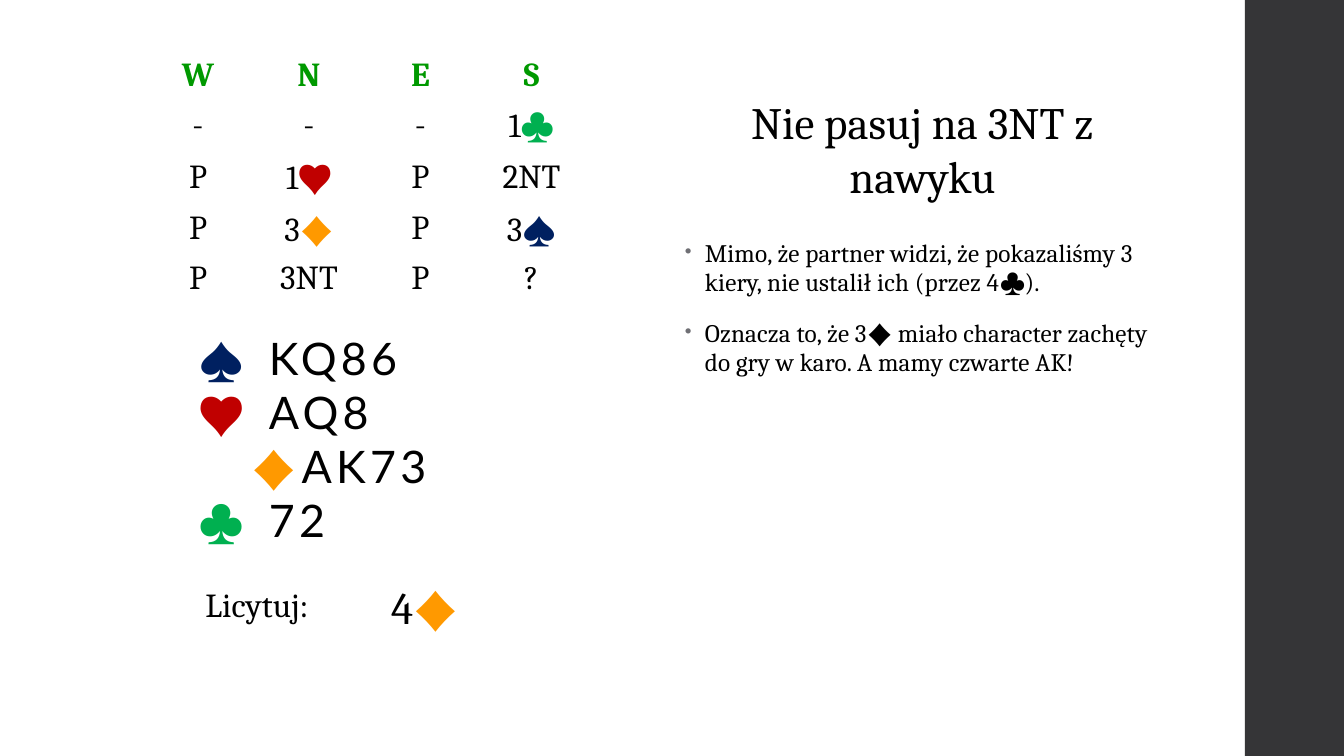
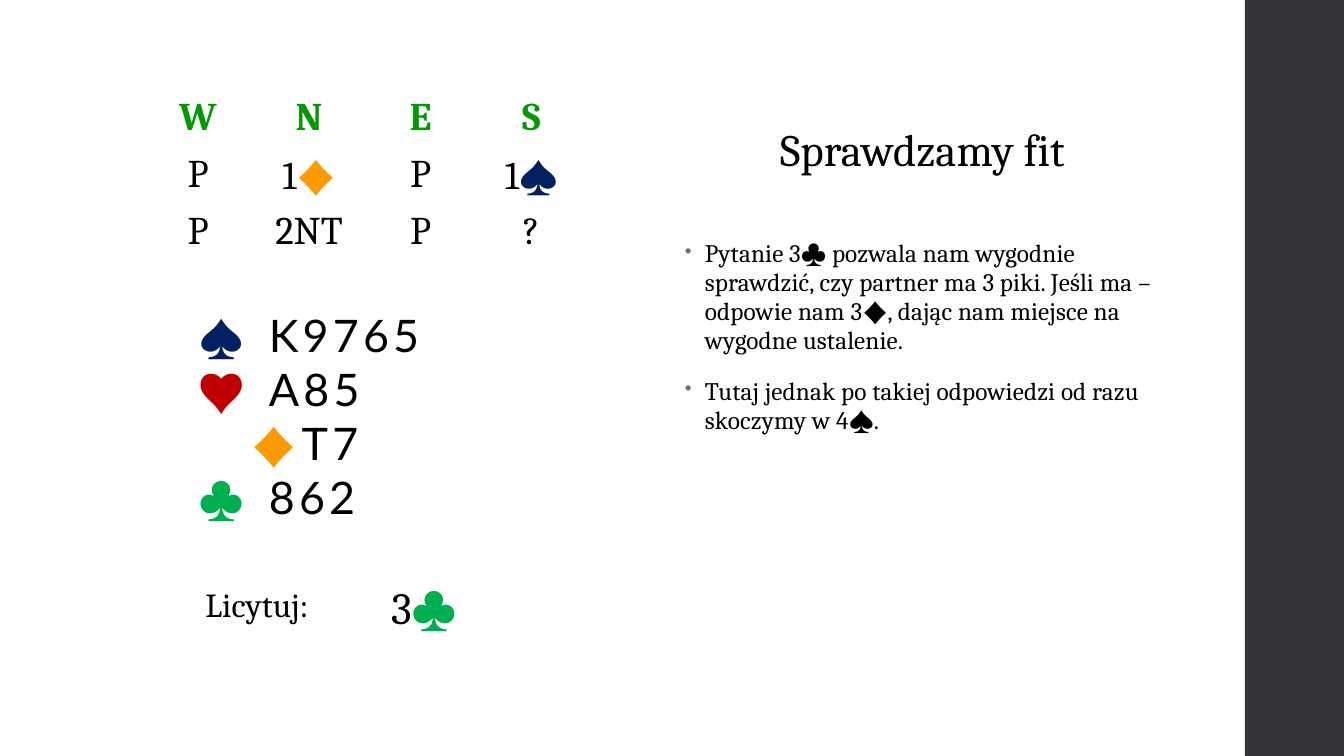
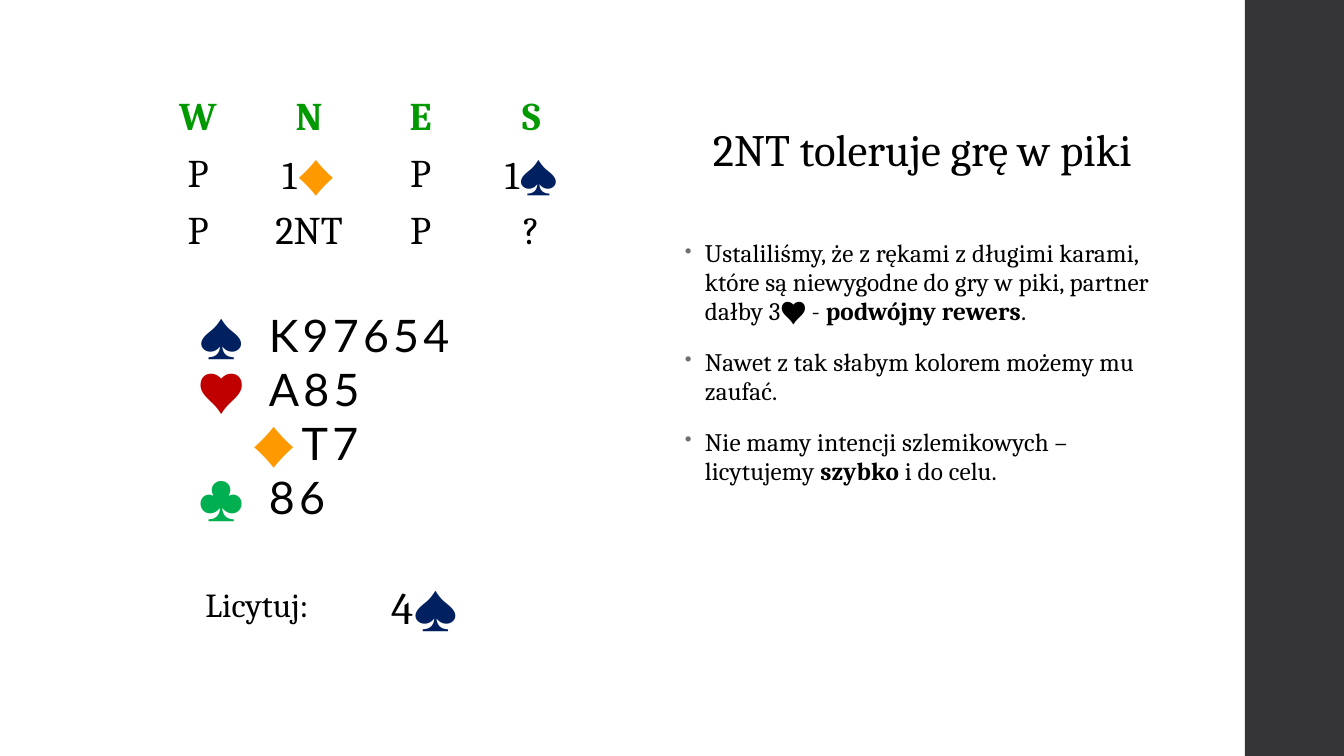
from itertools import groupby

from lxml import etree
from pptx import Presentation
from pptx.dml.color import RGBColor
from pptx.enum.shapes import MSO_SHAPE
from pptx.enum.text import MSO_ANCHOR, PP_ALIGN
from pptx.oxml.ns import qn
from pptx.util import Pt

RECT = MSO_SHAPE.RECTANGLE
MIDDLE = MSO_ANCHOR.MIDDLE
LEFT, CENTER = PP_ALIGN.LEFT, PP_ALIGN.CENTER

BLACK = RGBColor(0x00, 0x00, 0x00)
GREEN = RGBColor(0x00, 0x99, 0x00)
DARK = RGBColor(0x35, 0x35, 0x37)
SUITS = {
    "♠": RGBColor(0x00, 0x20, 0x60),
    "♥": RGBColor(0xC0, 0x00, 0x00),
    "♦": RGBColor(0xFF, 0x99, 0x00),
    "♣": RGBColor(0x00, 0xB0, 0x50),
}
BULLET = "6F6F74"
SERIF, SANS = "Cambria", "Lato"

SEATS = ["W", "N", "E", "S"]
FIT_BIDS = [["P", "1♦", "P", "1♠"], ["P", "2NT", "P", "?"]]

# Asterisks in the notes enclose bold words.
SLIDES = [
    dict(
        title="Nie pasuj na 3NT z nawyku",
        bids=[
            ["-", "-", "-", "1♣"],
            ["P", "1♥", "P", "2NT"],
            ["P", "3♦", "P", "3♠"],
            ["P", "3NT", "P", "?"],
        ],
        top=51, size=24, hand_top=326,
        hand=["KQ86", "AQ8", "AK73", "72"],
        answer="4♦",
        notes=[
            "Mimo, że partner widzi, że pokazaliśmy 3 kiery, nie ustalił ich (przez 4♣).",
            "Oznacza to, że 3♦ miało character zachęty do gry w karo. A mamy czwarte AK!",
        ],
    ),
    dict(
        title="Sprawdzamy fit",
        bids=FIT_BIDS,
        top=89, size=28, hand_top=303,
        hand=["K9765", "A85", "T7", "862"],
        answer="3♣",
        notes=[
            "Pytanie 3♣ pozwala nam wygodnie sprawdzić, czy partner ma 3 piki. "
            "Jeśli ma – odpowie nam 3♦, dając nam miejsce na wygodne ustalenie.",
            "Tutaj jednak po takiej odpowiedzi od razu skoczymy w 4♠.",
        ],
    ),
    dict(
        title="2NT toleruje grę w piki",
        bids=FIT_BIDS,
        top=89, size=28, hand_top=303,
        hand=["K97654", "A85", "T7", "86"],
        answer="4♠",
        notes=[
            "Ustaliliśmy, że z rękami z długimi karami, które są niewygodne do gry "
            "w piki, partner dałby 3♥ - *podwójny rewers*.",
            "Nawet z tak słabym kolorem możemy mu zaufać.",
            "Nie mamy intencji szlemikowych – licytujemy *szybko* i do celu.",
        ],
    ),
]

SCALE = 914400 / 100.8
WIDTH, HEIGHT = 1344, 756
ROW = 41


def px(n):
    return round(n * SCALE)


def box(slide, *place):
    frame = slide.shapes.add_textbox(*map(px, place)).text_frame
    frame.word_wrap = True
    return frame


def paras(frame, items):
    """Yield a paragraph of the frame for each item."""
    for i, item in enumerate(items):
        yield (frame.add_paragraph() if i else frame.paragraphs[0]), item


def style(par, size, name=SERIF, color=BLACK, bold=False):
    font = par.font
    font.size, font.name, font.bold = Pt(size), name, bold
    font.color.rgb = color


def add_run(par, text, space=0):
    run = par.add_run()
    run.text = text
    if space:
        run._r.get_or_add_rPr().set("spc", str(space))
    return run


def add_bid(par, text):
    """Write a bid, with its suit sign in the colour of the suit."""
    for suit, chars in groupby(text, SUITS.get):
        run = add_run(par, "".join(chars), 300 if suit else 0)
        if suit:
            run.font.name = SANS
            run.font.color.rgb = suit


def add_grid(slide, left, top, widths, rows):
    """Add a plain table; each cell is (text, size, colour, bold, alignment)."""
    table = slide.shapes.add_table(
        len(rows), len(widths), px(left), px(top),
        px(sum(widths)), px(ROW * len(rows))).table
    table.first_row = table.horz_banding = False
    for col, width in zip(table.columns, widths):
        col.width = px(width)
    for r, row in enumerate(rows):
        for c, (text, size, color, bold, align) in enumerate(row):
            cell = table.cell(r, c)
            cell.fill.background()
            cell.vertical_anchor = MIDDLE
            par = cell.text_frame.paragraphs[0]
            par.alignment = align
            style(par, size, color=color, bold=bold)
            add_bid(par, text)


def add_band(slide):
    band = slide.shapes.add_shape(RECT, px(1245), 0, px(WIDTH - 1245), px(HEIGHT))
    band.shadow.inherit = False
    band.fill.solid()
    band.fill.fore_color.rgb = DARK
    band.line.fill.background()


def add_title(slide, text):
    frame = box(slide, 675, 89, 495, 119)
    frame.vertical_anchor = MIDDLE
    par = frame.paragraphs[0]
    par.alignment = CENTER
    style(par, 32)
    add_run(par, text)


def add_notes(slide, notes):
    frame = box(slide, 675, 235, 494, 455)
    for par, note in paras(frame, notes):
        par.line_spacing = 0.95
        par.space_before = Pt(0 if note is notes[0] else 14)
        par.space_after = Pt(2)
        props = par._p.get_or_add_pPr()
        props.set("marL", str(px(20)))
        props.set("indent", str(-px(20)))
        color = etree.SubElement(props, qn("a:buClr"))
        etree.SubElement(color, qn("a:srgbClr"), val=BULLET)
        etree.SubElement(props, qn("a:buSzPct"), val="80000")
        etree.SubElement(props, qn("a:buChar"), char="•")
        style(par, 18)
        for i, part in enumerate(note.split("*")):
            run = add_run(par, part, 10)
            if i % 2:
                run.font.bold = True


def add_hand(slide, top, hand):
    frame = box(slide, 188, top, 352, 228)
    for par, (suit, cards) in paras(frame, zip(SUITS, hand)):
        props = par._p.get_or_add_pPr()
        if suit == "♦":
            props.set("marL", str(px(3)))
            props.set("indent", "0")
        tabs = etree.SubElement(props, qn("a:tabLst"))
        for pos, align in ((50, "r"), (71, "l")):
            etree.SubElement(tabs, qn("a:tab"), pos=str(px(pos)), algn=align)
        style(par, 32, SANS)
        add_run(par, "\t", 300).font.size = Pt(28)
        add_run(par, suit + "\t", 300).font.color.rgb = SUITS[suit]
        add_run(par, cards, 300)


def main():
    deck = Presentation()
    deck.slide_width, deck.slide_height = px(WIDTH), px(HEIGHT)
    for data in SLIDES:
        slide = deck.slides.add_slide(deck.slide_layouts[6])
        size = data["size"]
        head = [(seat, size, GREEN, True, CENTER) for seat in SEATS]
        calls = [[(bid, size, BLACK, False, CENTER) for bid in row]
                 for row in data["bids"]]
        answer = [("Licytuj:", 24, BLACK, False, CENTER),
                  (data["answer"], 32, BLACK, False, LEFT)]
        add_band(slide)
        add_grid(slide, 143, data["top"], [110, 112, 111, 111], [head] + calls)
        add_notes(slide, data["notes"])
        add_hand(slide, data["hand_top"], data["hand"])
        add_title(slide, data["title"])
        add_grid(slide, 133, 575, [248, 159], [answer])
    deck.save("out.pptx")


if __name__ == "__main__":
    main()
